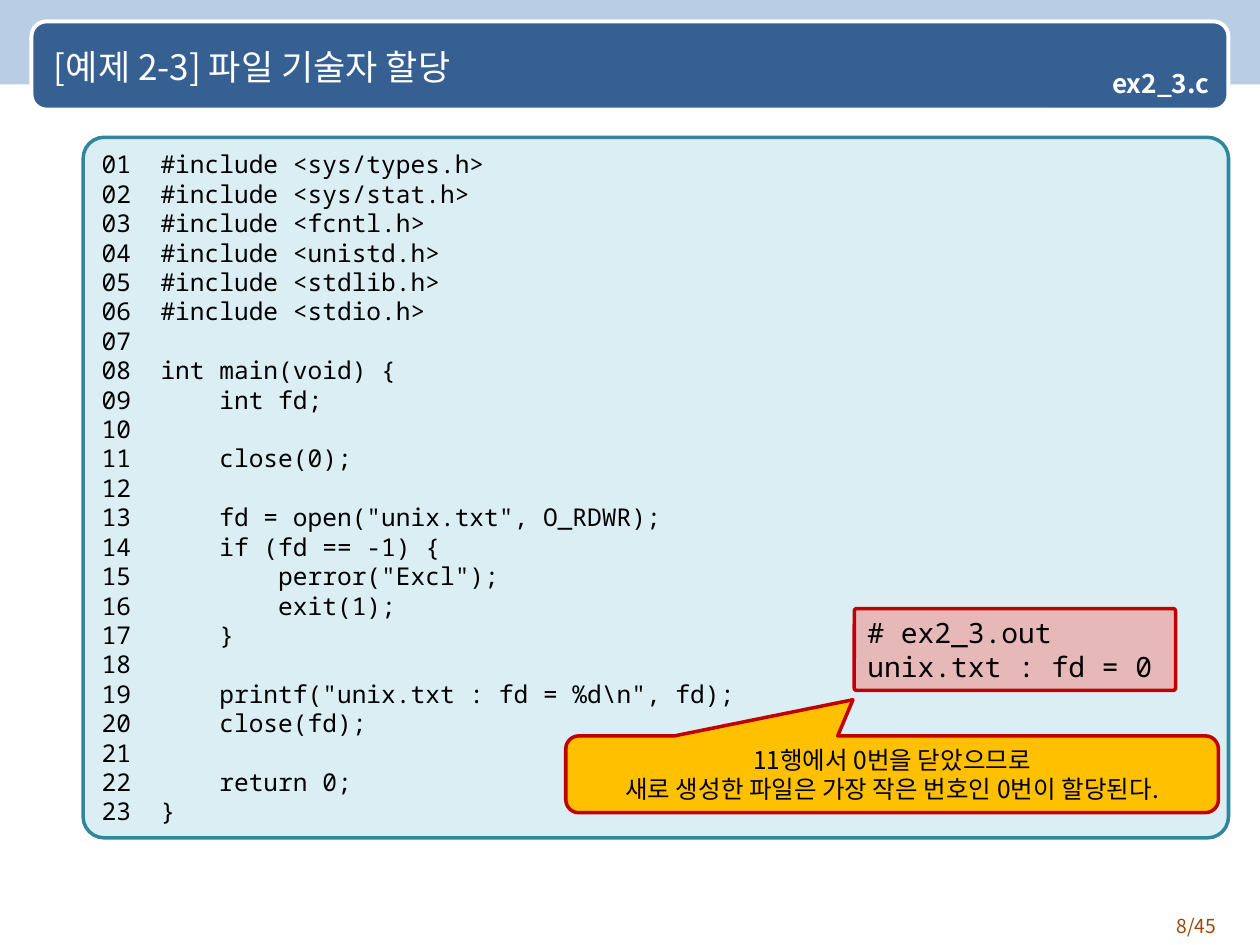
from dataclasses import dataclass

from lxml import etree
from pptx import Presentation
from pptx import util as u
from pptx.dml.color import RGBColor
from pptx.enum import shapes, text
from pptx.oxml import ns

WHITE = RGBColor(0xFF, 0xFF, 0xFF)
BLACK = RGBColor(0x00, 0x00, 0x00)
BROWN = RGBColor(0x98, 0x48, 0x07)
PALE_BLUE = RGBColor(0xB9, 0xCD, 0xE5)
NAVY = RGBColor(0x37, 0x60, 0x92)
ICE = RGBColor(0xDB, 0xEE, 0xF4)
TEAL = RGBColor(0x31, 0x85, 0x9C)
PINK = RGBColor(0xE6, 0xB9, 0xB8)
RED = RGBColor(0xC0, 0x00, 0x00)
AMBER = RGBColor(0xFF, 0xC0, 0x00)

SANS = "Noto Sans CJK KR"
MONO = "Noto Sans Mono"
WIDTH, HEIGHT = u.Inches(10), u.Inches(7.5)
COLUMN, ROW = WIDTH / 100, HEIGHT / 75

RECTANGLE = shapes.MSO_SHAPE.RECTANGLE
ROUNDED = shapes.MSO_SHAPE.ROUNDED_RECTANGLE
CALLOUT = shapes.MSO_SHAPE.ROUNDED_RECTANGULAR_CALLOUT
ALIGN = text.PP_ALIGN
MIDDLE = text.MSO_ANCHOR.MIDDLE

CODE = r"""#include <sys/types.h>
#include <sys/stat.h>
#include <fcntl.h>
#include <unistd.h>
#include <stdlib.h>
#include <stdio.h>

int main(void) {
    int fd;

    close(0);

    fd = open("unix.txt", O_RDWR);
    if (fd == -1) {
        perror("Excl");
        exit(1);
    }

    printf("unix.txt : fd = %d\n", fd);
    close(fd);

    return 0;
}"""


@dataclass
class Box:
    """An area measured in grid columns and rows."""
    left: float
    top: float
    width: float
    height: float

    def inner(self, left, top, width, height):
        return Box(self.left + left, self.top + top, width, height)

    def lengths(self):
        return (round(self.left * COLUMN), round(self.top * ROW),
                round(self.width * COLUMN), round(self.height * ROW))


def add_panel(slide, box, kind, fill, line=None, line_width=2, adjustments=()):
    shape = slide.shapes.add_shape(kind, *box.lengths())
    shape.shadow.inherit = False
    shape.fill.solid()
    shape.fill.fore_color.rgb = fill
    if line is None:
        shape.line.fill.background()
    else:
        shape.line.color.rgb = line
        shape.line.width = u.Pt(line_width)
    for index, value in enumerate(adjustments):
        shape.adjustments[index] = value
    return shape


def write(shape, lines, size, color, align, font=SANS, bold=False,
          anchor=MIDDLE, wrap=True):
    frame = shape.text_frame
    frame.text = "\n".join(lines)
    frame.word_wrap = wrap
    frame.vertical_anchor = anchor
    for paragraph in frame.paragraphs:
        paragraph.alignment = align
        for run in paragraph.runs:
            run.font.size = u.Pt(size)
            run.font.bold = bold
            run.font.color.rgb = color
            run.font.name = font
            latin = run.font._element.find(ns.qn("a:latin"))
            east_asian = etree.Element(ns.qn("a:ea"), typeface=font)
            latin.addnext(east_asian)
    return frame


def add_header(slide, box, title, file_name):
    add_panel(slide, box.inner(0, 0, 100, 6.7), RECTANGLE, PALE_BLUE)
    add_panel(slide, box.inner(2.5, 1.7, 95, 7), ROUNDED, NAVY, WHITE, 2.25, [0.17])

    heading = slide.shapes.add_textbox(*box.inner(3.3, 1.9, 92.5, 6.7).lengths())
    write(heading, [title], 20, WHITE, ALIGN.LEFT)

    label = add_panel(slide, box.inner(83.3, 5, 13.3, 3.5), RECTANGLE, NAVY)
    frame = write(label, [file_name], 15, WHITE, ALIGN.RIGHT, bold=True)
    frame.margin_left = frame.margin_right = u.Inches(0.06)
    frame.margin_top = frame.margin_bottom = u.Inches(0.06)
    frame.paragraphs[0].line_spacing = 0.9
    frame.paragraphs[0].space_after = u.Pt(6.5)


def add_listing(slide, box, code):
    panel = add_panel(slide, box, ROUNDED, ICE, TEAL, adjustments=[0.03])
    numbered = [f"{number:02d}  {line}".rstrip()
                for number, line in enumerate(code.split("\n"), 1)]
    write(panel, numbered, 14, BLACK, ALIGN.JUSTIFY, MONO)


def add_result(slide, box, output, remark):
    """Program output with a callout below that explains it."""
    panel = add_panel(slide, box.inner(22.9, 0, 25.5, 6.5), ROUNDED, PINK, RED,
                      adjustments=[0.03])
    write(panel, output, 16, BLACK, ALIGN.JUSTIFY, MONO)
    callout = add_panel(slide, box.inner(0, 10.1, 51.8, 6.1), CALLOUT, AMBER, RED,
                        adjustments=[-0.06, -0.97, 0.17])
    write(callout, remark, 14, BLACK, ALIGN.CENTER)


def add_page_number(slide, box, number):
    label = slide.shapes.add_textbox(*box.lengths())
    write(label, [number], 11, BROWN, ALIGN.RIGHT, anchor=text.MSO_ANCHOR.TOP)


def main():
    presentation = Presentation()
    presentation.slide_width, presentation.slide_height = WIDTH, HEIGHT
    slide = presentation.slides.add_slide(presentation.slide_layouts[6])
    add_header(slide, Box(0, 0, 100, 8.7), "[예제 2-3] 파일 기술자 할당", "ex2_3.c")
    add_listing(slide, Box(6.6, 10.9, 90.9, 55.6), CODE)
    add_result(slide, Box(44.9, 48.3, 51.8, 16.2),
               ["# ex2_3.out", "unix.txt : fd = 0"],
               ["11행에서 0번을 닫았으므로",
                "새로 생성한 파일은 가장 작은 번호인 0번이 할당된다."])
    add_page_number(slide, Box(89.2, 72.1, 8.3, 2.9), "8/45")
    presentation.save("out.pptx")


if __name__ == "__main__":
    main()
